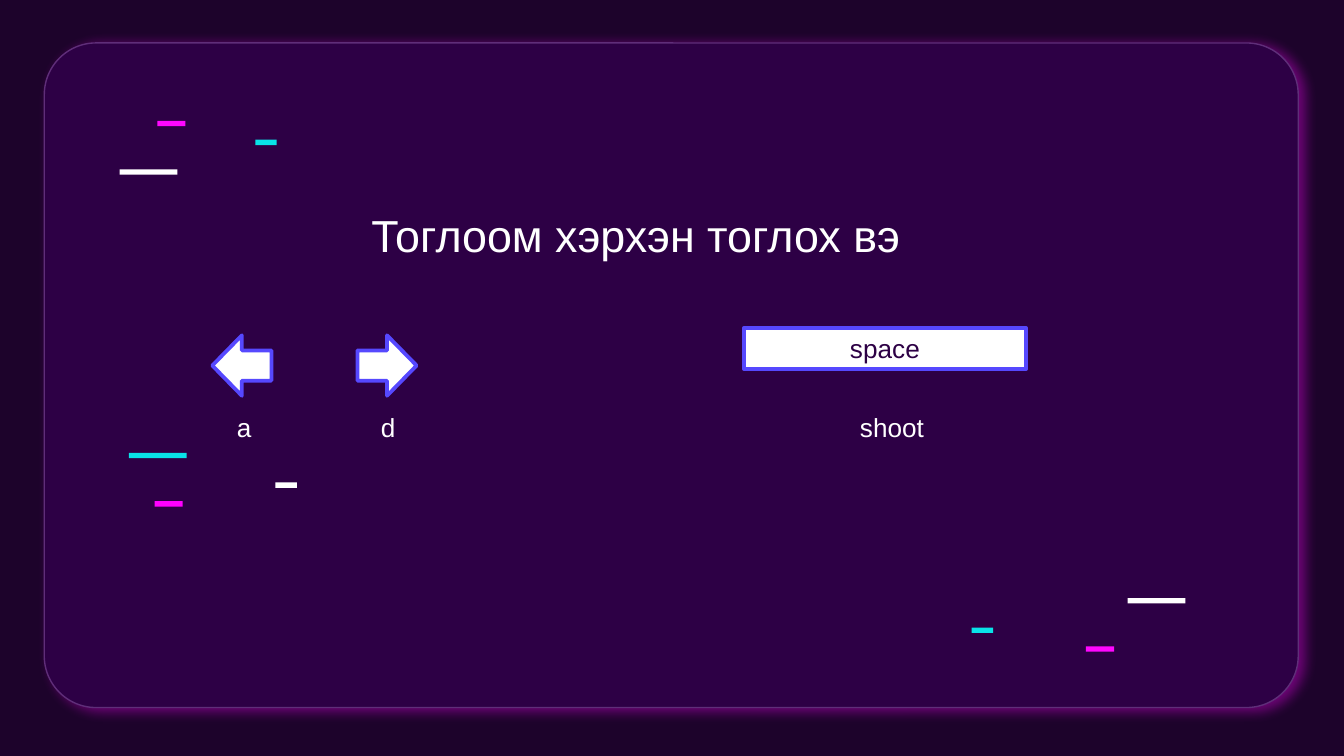
from lxml.etree import SubElement
from pptx import Presentation
from pptx.dml.color import RGBColor
from pptx.enum.shapes import MSO_SHAPE as Shape
from pptx.enum.text import MSO_ANCHOR as Anchor, PP_ALIGN as Align
from pptx.oxml.ns import qn
from pptx.util import Inches, Pt

COLORS = {
    "night": "1D032B", "panel": "2D0045", "edge": "5F2E79", "white": "FFFFFF",
    "pink": "FF07FF", "magenta": "FF00FF", "cyan": "09E3E8", "violet": "5648FE",
}
FONT = "Arial"

# The slide is a grid of square cells; every place below counts columns and rows.
CELL = 0.1
COLUMNS, ROWS = 100, 56.25

PANEL = (3.3, 3.2, 93.3, 49.45)
CORNER = 3.85
GLOW = {"blurRad": Pt(6.8), "dist": Pt(3.8), "dir": 19 * 60000}

# Each cluster holds a long, a middle and a short dash.
DASH_WIDTHS = (4.3, 2.1, 1.6)
DASH_DROPS = (0, 3.6, 2.2)
DASH_HEIGHT = 0.4
CLUSTERS = [  # row of the long dash, direction (1 down, -1 up), (column, color) of each dash
    (12.6, -1, [(8.9, "white"), (11.7, "pink"), (19, "cyan")]),
    (33.7, 1, [(9.6, "cyan"), (11.5, "magenta"), (20.5, "white")]),
    (44.5, 1, [(83.9, "white"), (80.8, "pink"), (72.3, "cyan")]),
]

TITLE = ("Тоглоом хэрхэн тоглох вэ", (26.65, 14.95, 44, 5))
ARROWS = [(Shape.LEFT_ARROW, 15.8), (Shape.RIGHT_ARROW, 26.6)]
ARROW_ROW, ARROW_WIDTH, ARROW_HEIGHT = 24.95, 4.4, 4.5
SPACE_KEY = ("space", (55.35, 24.4, 21, 3.05))
LABELS = [("a", 16.65, 4.7), ("d", 27.35, 4.3), ("shoot", 63, 17.1)]
LABEL_ROW, LABEL_HEIGHT = 30.1, 3.4


def color(name):
    return RGBColor.from_string(COLORS[name])


def cells(*counts):
    return [Inches(count * CELL) for count in counts]


def add_figure(page, kind, place, fill, line=None, weight=2):
    figure = page.shapes.add_shape(kind, *cells(*place))
    figure.shadow.inherit = False
    figure.fill.solid()
    figure.fill.fore_color.rgb = color(fill)
    if line:
        figure.line.color.rgb = color(line)
        figure.line.width = Pt(weight)
    else:
        figure.line.fill.background()
    return figure


def write(box, text, size=14, ink="white", align=Align.LEFT, anchor=Anchor.TOP):
    frame = box.text_frame
    frame.word_wrap = True
    frame.vertical_anchor = anchor
    para = frame.paragraphs[0]
    para.alignment = align
    span = para.add_run()
    span.text = text
    span.font.name = FONT
    span.font.size = Pt(size)
    span.font.color.rgb = color(ink)


def add_text(page, text, place, **style):
    write(page.shapes.add_textbox(*cells(*place)), text, **style)


def add_glow(figure):
    """Give the figure a soft colored outer shadow."""
    effects = figure._element.spPr.find(qn("a:effectLst"))
    shadow = SubElement(effects, qn("a:outerShdw"), algn="bl", rotWithShape="0",
                        **{key: str(int(value)) for key, value in GLOW.items()})
    tint = SubElement(shadow, qn("a:srgbClr"), val=COLORS["pink"])
    SubElement(tint, qn("a:alpha"), val="36000")


def add_backdrop(page):
    add_figure(page, Shape.RECTANGLE, (0, 0, COLUMNS, ROWS), "night")
    panel = add_figure(page, Shape.ROUNDED_RECTANGLE, PANEL, "panel", "edge", 0.75)
    panel.adjustments[0] = CORNER / PANEL[3]
    add_glow(panel)
    for row, direction, dashes in CLUSTERS:
        for (column, fill), width, drop in zip(dashes, DASH_WIDTHS, DASH_DROPS):
            place = (column, row + direction * drop, width, DASH_HEIGHT)
            add_figure(page, Shape.RECTANGLE, place, fill)


def add_controls(page):
    for kind, column in ARROWS:
        place = (column, ARROW_ROW, ARROW_WIDTH, ARROW_HEIGHT)
        add_figure(page, kind, place, "white", "violet")
    text, place = SPACE_KEY
    key = add_figure(page, Shape.RECTANGLE, place, "white", "violet")
    write(key, text, ink="panel", align=Align.CENTER, anchor=Anchor.MIDDLE)
    for text, column, width in LABELS:
        add_text(page, text, (column, LABEL_ROW, width, LABEL_HEIGHT))


def main():
    deck = Presentation()
    deck.slide_width, deck.slide_height = cells(COLUMNS, ROWS)
    page = deck.slides.add_slide(deck.slide_layouts[6])
    add_backdrop(page)
    add_controls(page)
    add_text(page, *TITLE, size=24)
    deck.save("out.pptx")


if __name__ == "__main__":
    main()
